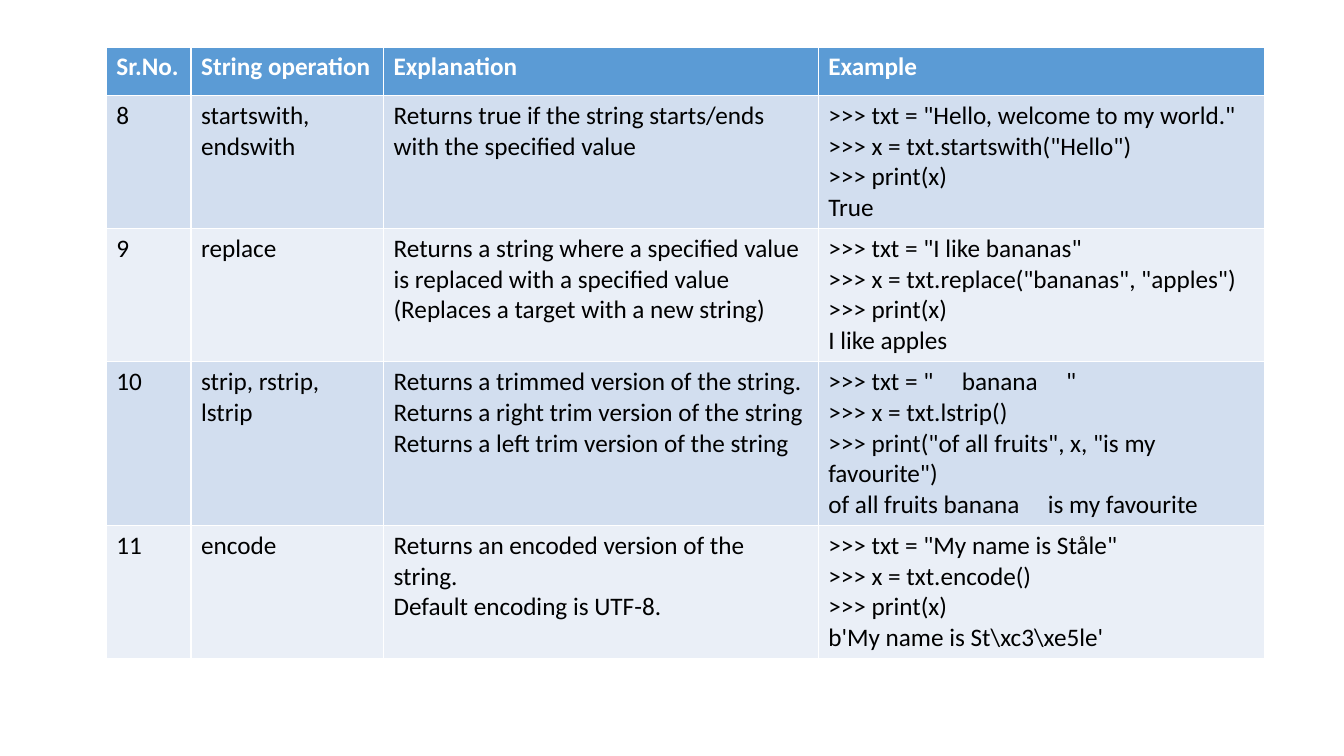
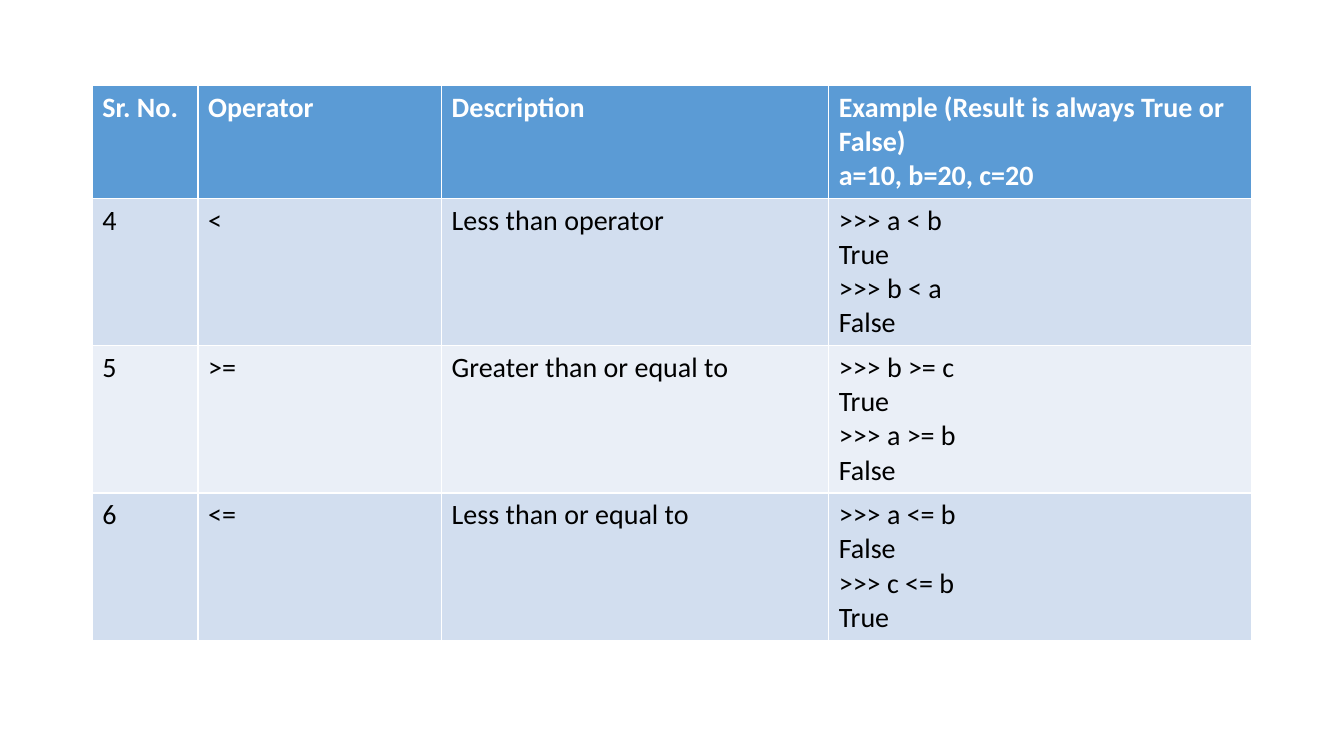
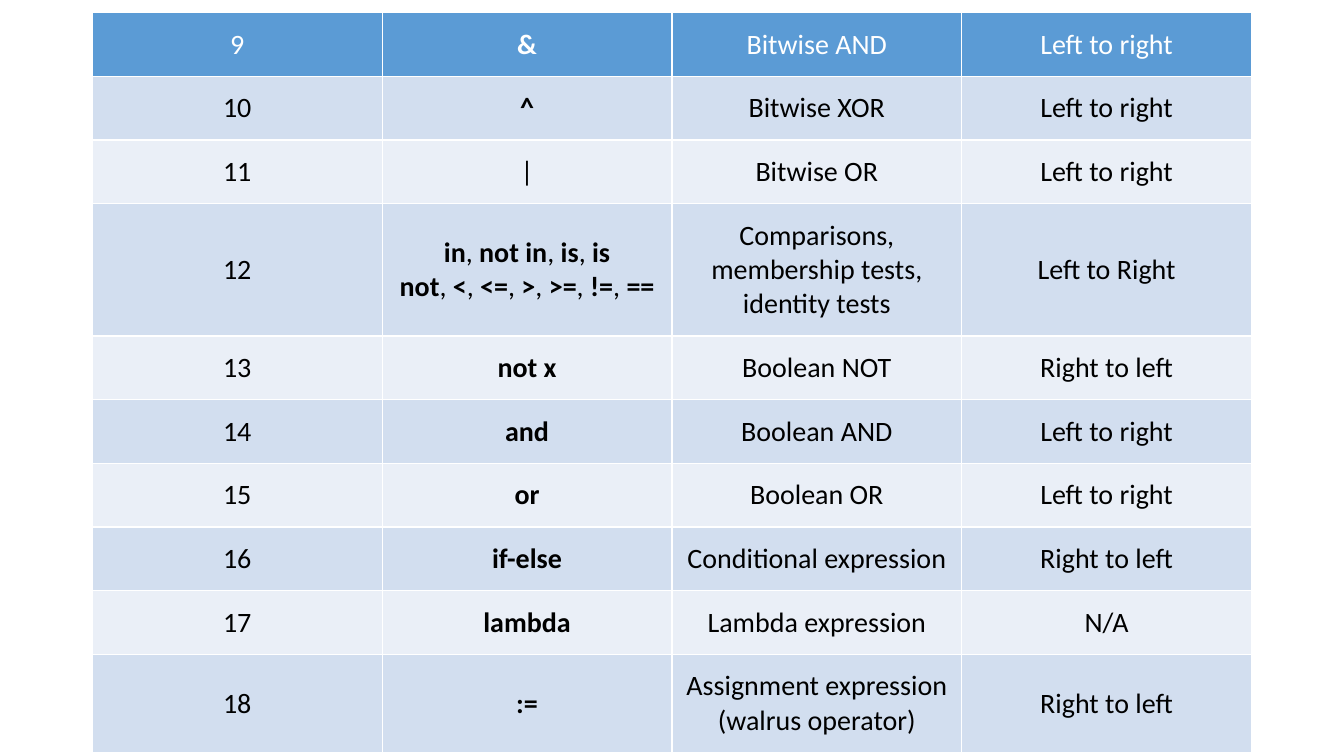
"""Build three slides of Python reference tables."""
from dataclasses import dataclass

from pptx import Presentation as Deck
from pptx.dml.color import RGBColor as Color
from pptx.enum.text import MSO_ANCHOR as Anchor, PP_ALIGN as Align
from pptx.util import Pt


@dataclass(frozen=True)
class Theme:
    font: str = "Calibri"
    small: float = 18
    large: float = 20
    head: str = "5B9BD5"
    bands: tuple = ("D2DEEF", "EAEFF7")
    light: str = "FFFFFF"
    dark: str = "000000"


class Pages:
    def __init__(self, theme):
        self.theme = theme
        self.deck = Deck()
        self.deck.slide_width, self.deck.slide_height = Pt(960), Pt(540)
        self.slide = None

    def page(self):
        self.slide = self.deck.slides.add_slide(self.deck.slide_layouts[6])

    def table(self, left, top, widths, heights, rows, size, bold=True, center=False):
        frame = self.slide.shapes.add_table(
            len(rows), len(widths), Pt(left), Pt(top), Pt(sum(widths)), Pt(sum(heights)))
        grid = frame.table
        for col, width in zip(grid.columns, widths):
            col.width = Pt(width)
        for row, height in zip(grid.rows, heights):
            row.height = Pt(height)
        for i, row in enumerate(rows):
            back = self.theme.bands[(i - 1) % 2] if i else self.theme.head
            ink = self.theme.dark if i else self.theme.light
            for j, text in enumerate(row):
                cell = grid.cell(i, j)
                cell.fill.solid()
                cell.fill.fore_color.rgb = Color.from_string(back)
                self.label(cell, text, size, ink, bold and i == 0)
                if center:
                    self.center(cell)

    def label(self, cell, text, size, ink, bold):
        if isinstance(text, tuple):
            self.words(cell.text_frame.paragraphs[0], text)
        else:
            cell.text_frame.text = text
        for par in cell.text_frame.paragraphs:
            for run in par.runs:
                font = run.font
                font.name, font.size = self.theme.font, Pt(size)
                font.color.rgb = Color.from_string(ink)
                font.bold = bool(font.bold or bold)

    def words(self, par, words):
        for i, word in enumerate(words):
            if i:
                par.add_run().text = "," + chr(160)
            run = par.add_run()
            run.text = word
            run.font.bold = True

    def center(self, cell):
        cell.vertical_anchor = Anchor.MIDDLE
        cell.margin_left = cell.margin_right = Pt(7)
        cell.margin_top = cell.margin_bottom = Pt(10.5)
        for par in cell.text_frame.paragraphs:
            par.alignment = Align.CENTER


STRINGS = [
    ("Sr.No.", "String operation", "Explanation", "Example"),
    ("8", "startswith, endswith",
     "Returns true if the string starts/ends with the specified value",
     """>>> txt = "Hello, welcome to my world."
>>> x = txt.startswith("Hello")
>>> print(x)
True"""),
    ("9", "replace",
     """Returns a string where a specified value is replaced with a specified value
(Replaces a target with a new string)""",
     """>>> txt = "I like bananas"
>>> x = txt.replace("bananas", "apples")
>>> print(x)
I like apples"""),
    ("10", "strip, rstrip, lstrip",
     """Returns a trimmed version of the string.
Returns a right trim version of the string
Returns a left trim version of the string""",
     """>>> txt = "     banana     "
>>> x = txt.lstrip()
>>> print("of all fruits", x, "is my favourite")
of all fruits banana     is my favourite"""),
    ("11", "encode",
     """Returns an encoded version of the string.
Default encoding is UTF-8.""",
     r""">>> txt = "My name is Ståle"
>>> x = txt.encode()
>>> print(x)
b'My name is St\xc3\xe5le'"""),
]

COMPARE = [
    ("Sr. No.", "Operator", "Description",
     "Example (Result is always True or False)\na=10, b=20, c=20"),
    ("4", "<", "Less than operator", ">>> a < b\nTrue\n>>> b < a\nFalse"),
    ("5", ">=", "Greater than or equal to", ">>> b >= c\nTrue\n>>> a >= b\nFalse"),
    ("6", "<=", "Less than or equal to", ">>> a <= b\nFalse\n>>> c <= b\nTrue"),
]

ORDER = [
    ("9", ("&",), "Bitwise AND", "Left to right"),
    ("10", ("^",), "Bitwise XOR", "Left to right"),
    ("11", "|", "Bitwise OR", "Left to right"),
    ("12", ("in", "not in", "is", "is not", "<", "<=", ">", ">=", "!=", "=="),
     "Comparisons, membership tests, identity tests", "Left to Right"),
    ("13", ("not x",), "Boolean NOT", "Right to left"),
    ("14", ("and",), "Boolean AND", "Left to right"),
    ("15", ("or",), "Boolean OR", "Left to right"),
    ("16", ("if-else",), "Conditional expression", "Right to left"),
    ("17", ("lambda",), "Lambda expression", "N/A"),
    ("18", (":=",), "Assignment expression (walrus operator)", "Right to left"),
]


def main():
    theme = Theme()
    pages = Pages(theme)
    pages.page()
    pages.table(76, 33.5, (60.5, 137.5, 310.5, 319), (34.5, 95, 95, 117, 95),
                STRINGS, theme.small)
    pages.page()
    pages.table(66, 61, (75.5, 174, 276.5, 302), (80, 105, 105, 105),
                COMPARE, theme.large)
    pages.page()
    pages.table(66, 9, [207] * 4, [45.5] * 3 + [94] + [45.5] * 5 + [70],
                ORDER, theme.large, bold=False, center=True)
    pages.deck.save("out.pptx")


if __name__ == "__main__":
    main()
